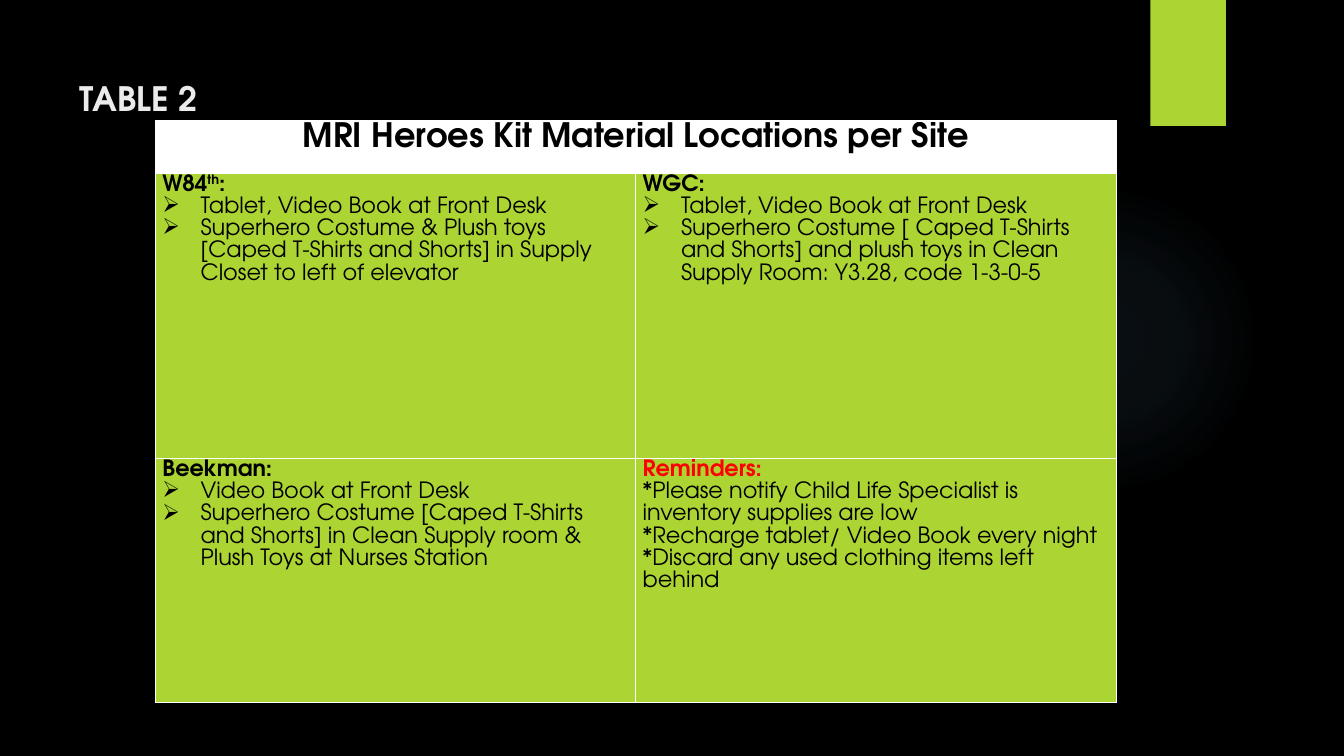
from lxml import etree
from pptx import Presentation
from pptx.dml.color import RGBColor
from pptx.enum.shapes import MSO_SHAPE
from pptx.enum.text import MSO_ANCHOR, PP_ALIGN
from pptx.oxml.ns import qn
from pptx.util import Inches, Pt

RECTANGLE, ELLIPSE = MSO_SHAPE.RECTANGLE, MSO_SHAPE.OVAL
MIDDLE, CENTER = MSO_ANCHOR.MIDDLE, PP_ALIGN.CENTER

BLACK, WHITE, PALE, GREEN, RED, BLUE = (
    "000000", "FFFFFF", "EBEBEB", "ACD433", "FF0000", "7AC4F0")
GLOW_STOPS = [(0, 7), (36, 6), (69, 0)]

TABLE_TITLE = "MRI Heroes Kit Material Locations per Site"
SITES = [
    [
        {"heading": ["W84", "th", ":"],
         "items": ["Tablet, Video Book at Front Desk",
                   "Superhero Costume & Plush toys [Caped T-Shirts and Shorts] "
                   "in Supply Closet to left of elevator"]},
        {"heading": ["WGC:"],
         "items": ["Tablet, Video Book at Front Desk",
                   "Superhero Costume [ Caped T-Shirts and Shorts] and plush toys "
                   "in Clean Supply Room: Y3.28, code 1-3-0-5"]},
    ],
    [
        {"heading": ["Beekman:"],
         "items": ["Video Book at Front Desk",
                   "Superhero Costume [Caped T-Shirts and Shorts] in Clean Supply "
                   "room & Plush Toys at Nurses Station"]},
        {"heading": ["Reminders:"], "color": RED, "bullet": None,
         "items": ["*Please notify Child Life Specialist is inventory supplies are low",
                   "*Recharge tablet/ Video Book every night",
                   "*Discard any used clothing items left behind"]},
    ],
]


def rgb(value):
    return RGBColor.from_string(value)


def add_child(parent, tag, **attributes):
    child = etree.SubElement(parent, qn(tag))
    for name, value in attributes.items():
        child.set(name, str(value))
    return child


class SlideBuilder:
    font = "TeX Gyre Adventor"
    line_spacing = 1.07
    bullet_indent = Inches(0.38)
    cell_margins = {"margin_left": 0.07, "margin_right": 0.07,
                    "margin_top": 0, "margin_bottom": 0}

    def __init__(self, slide):
        self.slide = slide

    def background(self, color):
        fill = self.slide.background.fill
        fill.solid()
        fill.fore_color.rgb = rgb(color)

    def shape(self, kind, box, color):
        shape = self.slide.shapes.add_shape(kind, *map(Inches, box))
        shape.shadow.inherit = False
        shape.line.fill.background()
        shape.fill.solid()
        shape.fill.fore_color.rgb = rgb(color)
        return shape

    def glow(self, box, color, stops):
        """Ellipse with a circular gradient; stops are (position, opacity) in percent."""
        ellipse = self.shape(ELLIPSE, box, color)
        solid = ellipse._element.spPr.find(qn("a:solidFill"))
        gradient = etree.Element(qn("a:gradFill"), rotWithShape="1")
        stop_list = add_child(gradient, "a:gsLst")
        for position, opacity in stops:
            stop = add_child(stop_list, "a:gs", pos=position * 1000)
            stop_color = add_child(stop, "a:srgbClr", val=color)
            add_child(stop_color, "a:alpha", val=opacity * 1000)
        circle = add_child(gradient, "a:path", path="circle")
        add_child(circle, "a:fillToRect", l=50000, t=50000, r=50000, b=50000)
        solid.getparent().replace(solid, gradient)

    def paragraph(self, frame, texts, size=16, bold=False, color=BLACK,
                  align=None, bullet=None):
        """Fill the empty first paragraph or add one; a second text is superscript."""
        paragraph = frame.paragraphs[0]
        if paragraph.runs:
            paragraph = frame.add_paragraph()
        paragraph.line_spacing = self.line_spacing
        paragraph.alignment = align
        if bullet:
            properties = paragraph._p.get_or_add_pPr()
            properties.set("marL", str(self.bullet_indent))
            properties.set("indent", str(-self.bullet_indent))
            add_child(properties, "a:buChar", char=bullet)
        for index, text in enumerate(texts):
            run = paragraph.add_run()
            run.text = text
            values = {"name": self.font, "size": Pt(size), "bold": bold}
            for name, value in values.items():
                setattr(run.font, name, value)
            run.font.color.rgb = rgb(color)
            if index == 1:
                run.font._element.set("baseline", "30000")

    def text(self, box, text, **style):
        frame = self.slide.shapes.add_textbox(*map(Inches, box)).text_frame
        frame.word_wrap = True
        frame.vertical_anchor = MIDDLE
        self.paragraph(frame, [text], **style)

    def cell(self, cell, color):
        """Set margins, white borders and fill; return the cell's text frame."""
        for name, value in self.cell_margins.items():
            setattr(cell, name, Inches(value))
        properties = cell._tc.get_or_add_tcPr()
        for side in ("a:lnL", "a:lnR", "a:lnT", "a:lnB"):
            border = add_child(properties, side, w=Pt(1))
            add_child(add_child(border, "a:solidFill"), "a:srgbClr", val=WHITE)
        cell.fill.solid()
        cell.fill.fore_color.rgb = rgb(color)
        return cell.text_frame

    def site_table(self, box, row_heights, title, sites):
        columns = len(sites[0])
        table = self.slide.shapes.add_table(
            len(row_heights), columns, *map(Inches, box)).table
        table.first_row = table.horz_banding = False
        for row, height in zip(table.rows, row_heights):
            row.height = Inches(height)
        header = table.cell(0, 0)
        header.merge(table.cell(0, columns - 1))
        self.paragraph(self.cell(header, WHITE), [title],
                       size=24, bold=True, align=CENTER)
        for row, row_sites in enumerate(sites, start=1):
            for column, site in enumerate(row_sites):
                frame = self.cell(table.cell(row, column), GREEN)
                self.paragraph(frame, site["heading"], bold=True,
                               color=site.get("color", BLACK))
                for item in site["items"]:
                    self.paragraph(frame, [item], bullet=site.get("bullet", "➢"))


def main():
    presentation = Presentation()
    presentation.slide_width = Inches(13.33)
    presentation.slide_height = Inches(7.5)
    slide = presentation.slides.add_slide(presentation.slide_layouts[6])
    builder = SlideBuilder(slide)
    builder.background(BLACK)
    builder.glow((9.41, 1.83, 3.08, 3.08), BLUE, GLOW_STOPS)
    builder.shape(RECTANGLE, (11.41, 0, 0.75, 1.25), GREEN)
    builder.text((0.69, 0.63, 10.29, 0.65), "TABLE 2", size=24, bold=True, color=PALE)
    builder.site_table((1.54, 1.2, 9.53, 5.77), (0.52, 2.83, 2.42), TABLE_TITLE, SITES)
    presentation.save("out.pptx")


if __name__ == "__main__":
    main()
